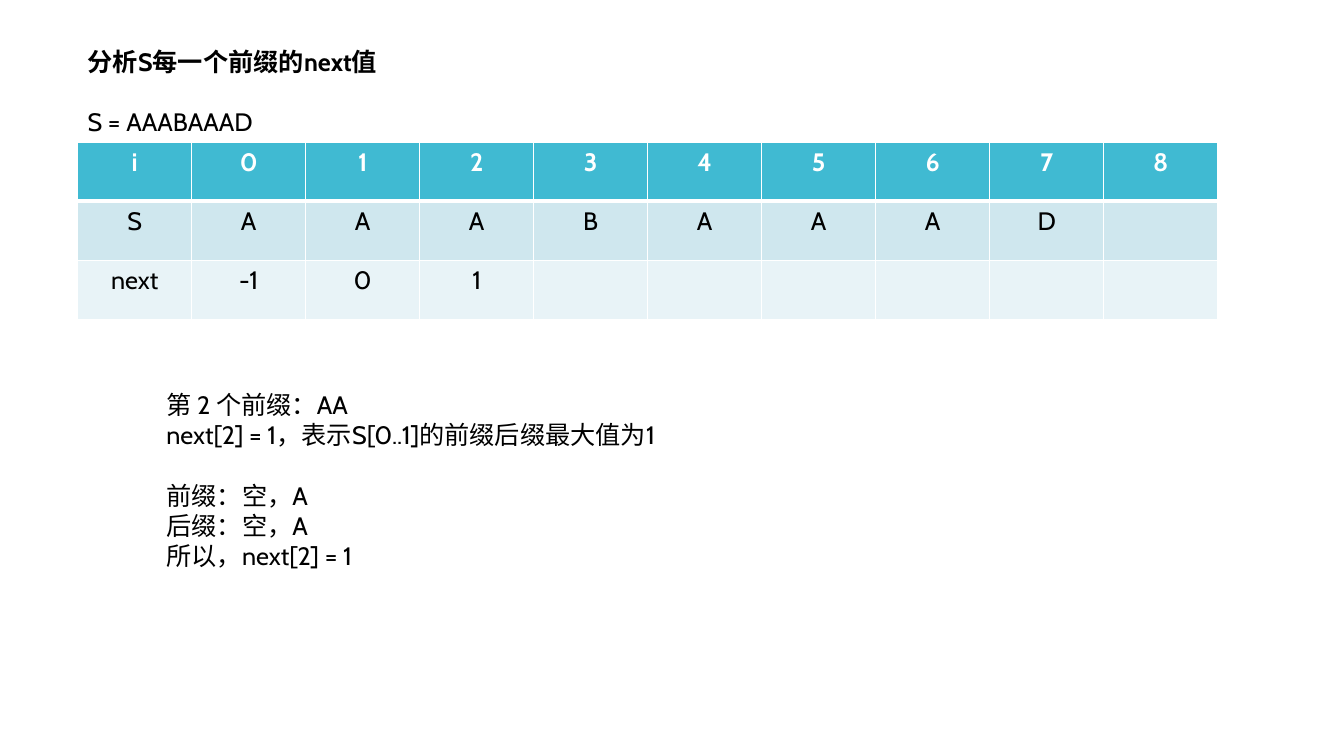
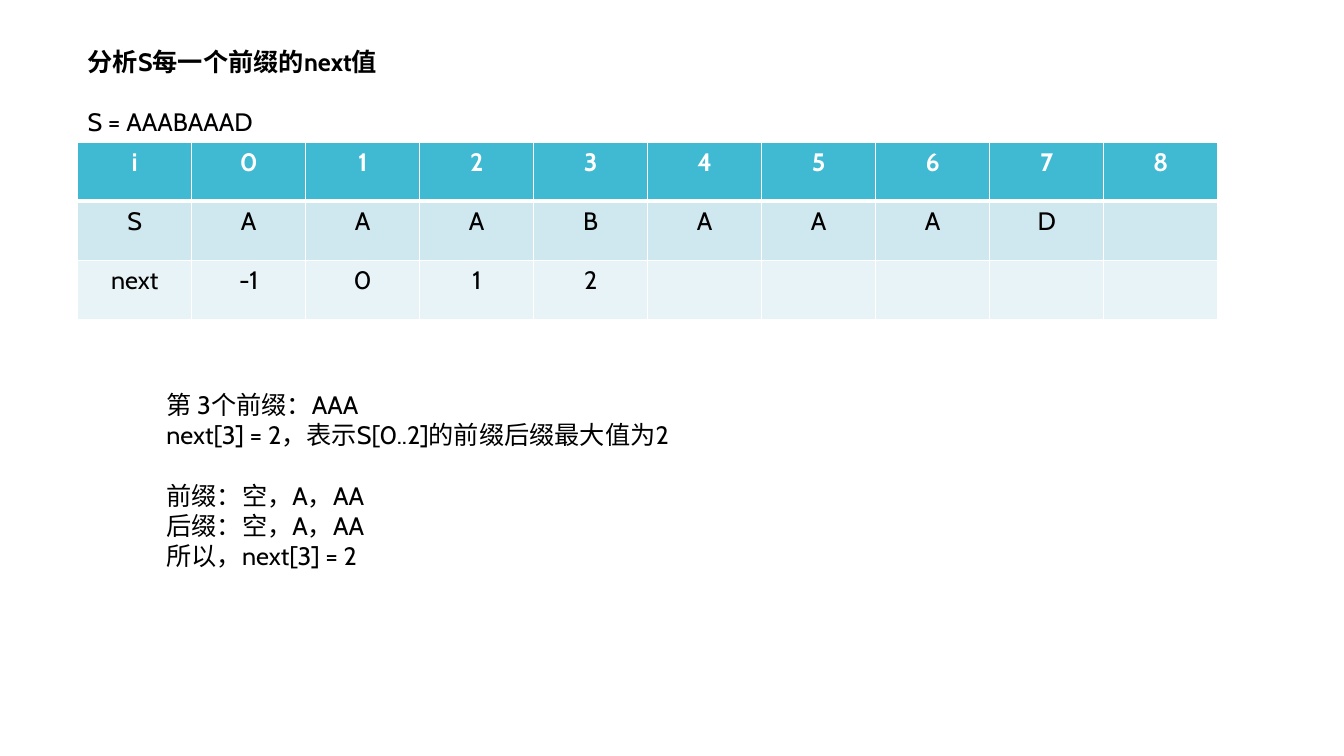
from pptx import Presentation
from pptx import util as u
from pptx.dml.color import RGBColor
from pptx.enum import text
from pptx.oxml import ns, xmlchemy

WIDE, HIGH = u.Inches(13.33), u.Inches(7.5)
FONT, SIZE = "Cabin", 18
GAP = 21.7  # one text line, in points
BLACK, WHITE = "000000", "FFFFFF"
BANDS = ["40BAD2", "CFE7EE", "E8F3F7"]

WORD = "AAABAAAD"
NEXT = [-1, 0, 1, 2]

# Boxes in percent of the slide: left, top, width, height
HEAD = (5.78, 5.47, 32.93, 5.33)
NAME = (5.78, 13.47, 32.93, 5.33)
GRID = (5.78, 18.8, 84.85, 23.47)
NOTE = (11.63, 50.8, 45.91, 25.6)


def scale(box):
    x, y, w, h = box
    return [int(part * side / 100)
            for part, side in ((x, WIDE), (y, HIGH), (w, WIDE), (h, HIGH))]


def color(code):
    return RGBColor.from_string(code)


def write(frame, lines, ink=BLACK, bold=False, align=text.PP_ALIGN.LEFT, gaps=()):
    """Fill a text frame; paragraphs listed in gaps start one line lower."""
    frame.word_wrap = True
    for i, line in enumerate(lines):
        para = frame.paragraphs[0] if i == 0 else frame.add_paragraph()
        para.alignment = align
        para.line_spacing = 1.0
        para.space_before = u.Pt(GAP if i in gaps else 0)
        run = para.add_run()
        run.text = line
        run.font.name, run.font.size = FONT, u.Pt(SIZE)
        run.font.bold, run.font.color.rgb = bold, color(ink)


def settle(shape, box):
    """Move a text shape to its box and start its text at the top."""
    shape.left, shape.top, shape.width, shape.height = scale(box)
    shape.text_frame.auto_size = text.MSO_AUTO_SIZE.NONE
    shape.text_frame.vertical_anchor = text.MSO_ANCHOR.TOP


def add_head(slide, box):
    settle(slide.shapes.title, box)
    write(slide.shapes.title.text_frame, ["分析S每一个前缀的next值"], bold=True)


def add_name(slide, box):
    shape = slide.shapes.add_textbox(*scale(box))
    settle(shape, box)
    write(shape.text_frame, [f"S = {WORD}"])


def edge(cell, sides):
    """Draw white cell borders; sides maps a side to its width."""
    props = cell._tc.get_or_add_tcPr()
    for i, side in enumerate("LRTB"):
        line = xmlchemy.OxmlElement(f"a:ln{side}")
        line.set("w", str(u.Pt(sides.get(side, 1))))
        fill = xmlchemy.OxmlElement("a:solidFill")
        tint = xmlchemy.OxmlElement("a:srgbClr")
        tint.set("val", WHITE)
        fill.append(tint)
        line.append(fill)
        props.insert(i, line)


def add_grid(slide, box, count):
    """Table of indices, letters and the first count values of next."""
    size = len(WORD) + 1
    rows = [["i", *range(size)], ["S", *WORD], ["next", *NEXT[:count]]]
    x, y, w, h = scale(box)
    table = slide.shapes.add_table(len(rows), size + 1, x, y, w, h).table
    for col in table.columns:
        col.width = w // (size + 1)
    for r, row in enumerate(rows):
        table.rows[r].height = h // len(rows)
        for c in range(size + 1):
            cell = table.cell(r, c)
            cell.fill.solid()
            cell.fill.fore_color.rgb = color(BANDS[r])
            edge(cell, [{"B": 3}, {"T": 3}, {}][r])
            if c < len(row):
                write(cell.text_frame, [str(row[c])], bold=r == 0,
                      ink=BLACK if r else WHITE, align=text.PP_ALIGN.CENTER)


def add_note(slide, box, k, label):
    """Explain the value of next[k] from the prefixes and suffixes."""
    part, value = WORD[:k], NEXT[k]
    heads = [part[:n] for n in range(1, k)]
    tails = [part[-n:] for n in range(1, k)]
    body = slide.placeholders[1]
    settle(body, box)
    write(body.text_frame, [
        f"第 {label}前缀：{part}",
        f"next[{k}] = {value}，表示S[0..{k - 1}]的前缀后缀最大值为{value}",
        "前缀：" + "，".join(["空", *heads]),
        "后缀：" + "，".join(["空", *tails]),
        f"所以，next[{k}] = {value}",
    ], gaps=(2,))
    # Plain lines: no bullet, no indent
    for para in body.text_frame.paragraphs:
        props = para._p.get_or_add_pPr()
        props.set("marL", "0")
        props.set("indent", "0")
        if props.find(ns.qn("a:buNone")) is None:
            props.append(xmlchemy.OxmlElement("a:buNone"))


def add_step(deck, k, label):
    slide = deck.slides.add_slide(deck.slide_layouts[1])
    add_head(slide, HEAD)
    add_name(slide, NAME)
    add_grid(slide, GRID, k + 1)
    add_note(slide, NOTE, k, label)


def main():
    deck = Presentation()
    deck.slide_width, deck.slide_height = WIDE, HIGH
    for k, label in ((2, "2 个"), (3, "3个")):
        add_step(deck, k, label)
    deck.save("out.pptx")


if __name__ == "__main__":
    main()
